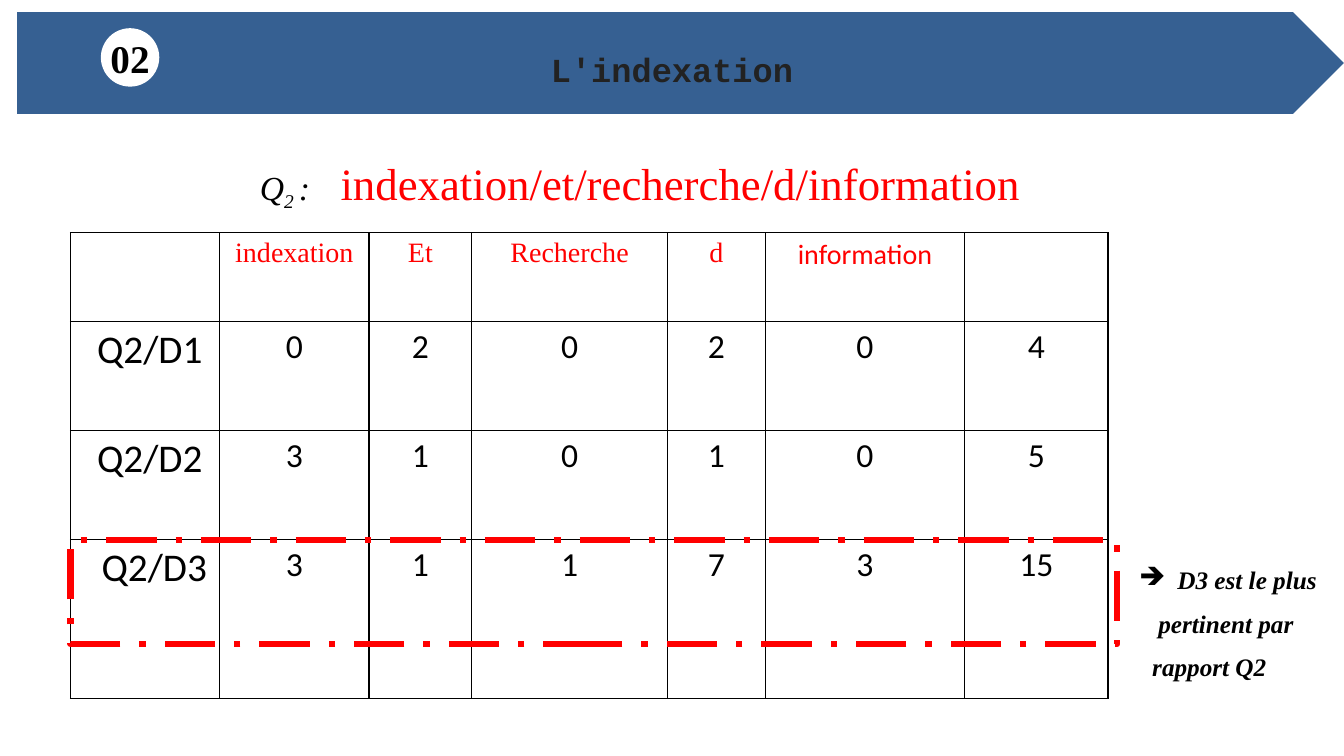
"""Build the slide that ranks three documents against query Q2."""
from dataclasses import dataclass
from typing import Optional

from lxml.etree import SubElement
from pptx import Presentation
from pptx.dml.color import RGBColor
from pptx.enum.dml import MSO_LINE
from pptx.enum.shapes import MSO_SHAPE
from pptx.enum.text import MSO_ANCHOR, PP_ALIGN
from pptx.oxml.ns import qn
from pptx.util import Inches, Pt


@dataclass(frozen=True)
class Theme:
    """Colours, fonts and type sizes of the slide."""
    banner: str = "366092"
    white: str = "FFFFFF"
    black: str = "000000"
    title_ink: str = "222222"
    accent: str = "FF0000"
    serif: str = "Times New Roman"
    sans: str = "Calibri"
    mono: str = "Courier New"
    note: int = 18
    header: int = 20
    body: int = 24
    label: int = 28
    query: int = 32


T = Theme()


@dataclass(frozen=True)
class Span:
    """A run of text with its format."""
    text: str
    size: int
    font: str = T.serif
    color: str = T.black
    bold: bool = False
    italic: bool = False
    baseline: int = 0


@dataclass(frozen=True)
class Box:
    """A preset shape with its place and paint."""
    kind: MSO_SHAPE
    at: tuple[float, float, float, float]
    fill: Optional[str] = None
    line: Optional[str] = None
    span: Optional[Span] = None
    insets: tuple[float, float, float, float] = (0, 0, 0, 0)


@dataclass(frozen=True)
class NoteLine:
    """A line of the conclusion with its indents."""
    text: str
    left: float
    hanging: float = 0
    bullet: str = ""


BOXES = (
    Box(MSO_SHAPE.RECTANGLE, (0.7, 5.36, 10.38, 1.03), line=T.accent),
    Box(MSO_SHAPE.PENTAGON, (0.17, 0.12, 13.16, 1.01), fill=T.banner,
        span=Span("L'indexation", T.body, T.mono, T.title_ink, bold=True),
        insets=(0.18, 0.17, 0.1, 0.05)),
    Box(MSO_SHAPE.OVAL, (1, 0.28, 0.58, 0.58), fill=T.white,
        span=Span("02", T.label, bold=True)),
)
QUERY = (
    Span("Q", T.body, italic=True),
    Span("2\u00a0".replace("\u00a0", " "), T.body, italic=True, baseline=-25000),
    Span(":\t", T.body, italic=True),
    Span("indexation/et/recherche/d/information", T.query, color=T.accent),
)
NOTE = (
    NoteLine("D3 est le plus", 0.38, -0.38, "➔"),
    NoteLine("pertinent par", 0.19),
    NoteLine("rapport Q2", 0.13),
)
COLS = (1.48, 1.48, 1.02, 1.94, 0.97, 1.98, 1.42)
ROWS = (0.88, 1.08, 1.08, 1.58)
HEADERS = ("", "indexation", "Et", "Recherche", "d", "information", "")
SCORES = {
    "Q2/D1": (0, 2, 0, 2, 0),
    "Q2/D2": (3, 1, 0, 1, 0),
    "Q2/D3": (3, 1, 1, 7, 3),
}
LABEL_INSETS = {"Q2/D1": 0.19, "Q2/D2": 0.19, "Q2/D3": 0.28}


def apply(target: object, values: dict) -> None:
    """Set each attribute named in values."""
    for name, value in values.items():
        setattr(target, name, value)


def add_span(p, span: Span) -> None:
    """Append a formatted run to a paragraph."""
    r = p.add_run()
    r.text = span.text
    apply(r.font, {"size": Pt(span.size), "name": span.font,
                   "bold": span.bold, "italic": span.italic})
    r.font.color.rgb = RGBColor.from_string(span.color)
    if span.baseline:
        r.font._element.set("baseline", str(span.baseline))


def add_box(s, box: Box) -> None:
    """Draw a preset shape."""
    sp = s.shapes.add_shape(box.kind, *map(Inches, box.at))
    sp.shadow.inherit = False
    if box.fill:
        sp.fill.solid()
        sp.fill.fore_color.rgb = RGBColor.from_string(box.fill)
    else:
        sp.fill.background()
    if box.line:
        sp.line.color.rgb = RGBColor.from_string(box.line)
        apply(sp.line, {"width": Pt(4.5), "dash_style": MSO_LINE.LONG_DASH_DOT})
    else:
        sp.line.fill.background()
    if box.span:
        tf = sp.text_frame
        left, top, right, bottom = map(Inches, box.insets)
        apply(tf, {"margin_left": left, "margin_top": top,
                   "margin_right": right, "margin_bottom": bottom,
                   "vertical_anchor": MSO_ANCHOR.MIDDLE, "word_wrap": False})
        p = tf.paragraphs[0]
        p.alignment = PP_ALIGN.CENTER
        add_span(p, box.span)


def add_text(s, at: tuple[float, float, float, float]):
    """Add a wrapping text box and return its frame."""
    tf = s.shapes.add_textbox(*map(Inches, at)).text_frame
    tf.word_wrap = True
    return tf


def add_query(s) -> None:
    """Write the query line."""
    p = add_text(s, (2.45, 1.41, 8.43, 0.67)).paragraphs[0]
    pPr = p._p.get_or_add_pPr()
    pPr.set("marL", str(Inches(0.03)))
    tabs = SubElement(pPr, qn("a:tabLst"))
    SubElement(tabs, qn("a:tab"), pos=str(Inches(0.8)), algn="l")
    apply(p, {"line_spacing": 1.15, "space_after": Pt(10)})
    for span in QUERY:
        add_span(p, span)


def add_note(s) -> None:
    """Write the conclusion beside the table."""
    tf = add_text(s, (11.2, 5.53, 2.13, 1.28))
    for i, line in enumerate(NOTE):
        p = tf.add_paragraph() if i else tf.paragraphs[0]
        pPr = p._p.get_or_add_pPr()
        pPr.set("marL", str(Inches(line.left)))
        pPr.set("indent", str(Inches(line.hanging)))
        if line.bullet:
            SubElement(pPr, qn("a:buChar"), char=line.bullet)
        apply(p, {"line_spacing": 1.07, "space_after": Pt(8)})
        add_span(p, Span(line.text, T.note, bold=True, italic=True))


def fill_cell(cell, span: Span) -> None:
    """Format one cell, its borders and its text."""
    tcPr = cell._tc.get_or_add_tcPr()
    for side in ("lnL", "lnR", "lnT", "lnB"):
        ln = SubElement(tcPr, qn(f"a:{side}"), w=str(Pt(1)))
        paint = SubElement(ln, qn("a:solidFill"))
        SubElement(paint, qn("a:srgbClr"), val=T.black)
    cell.fill.background()
    if span.text:
        cell.margin_left = Inches(LABEL_INSETS.get(span.text, 0.1))
        p = cell.text_frame.paragraphs[0]
        p.alignment = PP_ALIGN.CENTER
        add_span(p, span)


def add_scores(s) -> None:
    """Draw the score table with its row totals."""
    frame = s.shapes.add_table(len(ROWS), len(COLS), Inches(0.7), Inches(2.31),
                               Inches(sum(COLS)), Inches(sum(ROWS)))
    table = frame.table
    apply(table, {"first_row": False, "horz_banding": False})
    for col, width in zip(table.columns, COLS):
        col.width = Inches(width)
    for row, height in zip(table.rows, ROWS):
        row.height = Inches(height)
    grid = [[Span(h, T.header, T.sans if h == "information" else T.serif, T.accent)
             for h in HEADERS]]
    for label, counts in SCORES.items():
        numbers = [Span(str(n), T.body, T.sans) for n in (*counts, sum(counts))]
        grid.append([Span(label, T.label, T.sans), *numbers])
    for row, spans in zip(table.rows, grid):
        for cell, span in zip(row.cells, spans):
            fill_cell(cell, span)


def main() -> None:
    """Build and save the slide."""
    prs = Presentation()
    apply(prs, {"slide_width": Inches(13.33), "slide_height": Inches(7.5)})
    s = prs.slides.add_slide(prs.slide_layouts[6])
    add_query(s)
    add_scores(s)
    add_note(s)
    for box in BOXES:
        add_box(s, box)
    prs.save("out.pptx")


if __name__ == "__main__":
    main()
